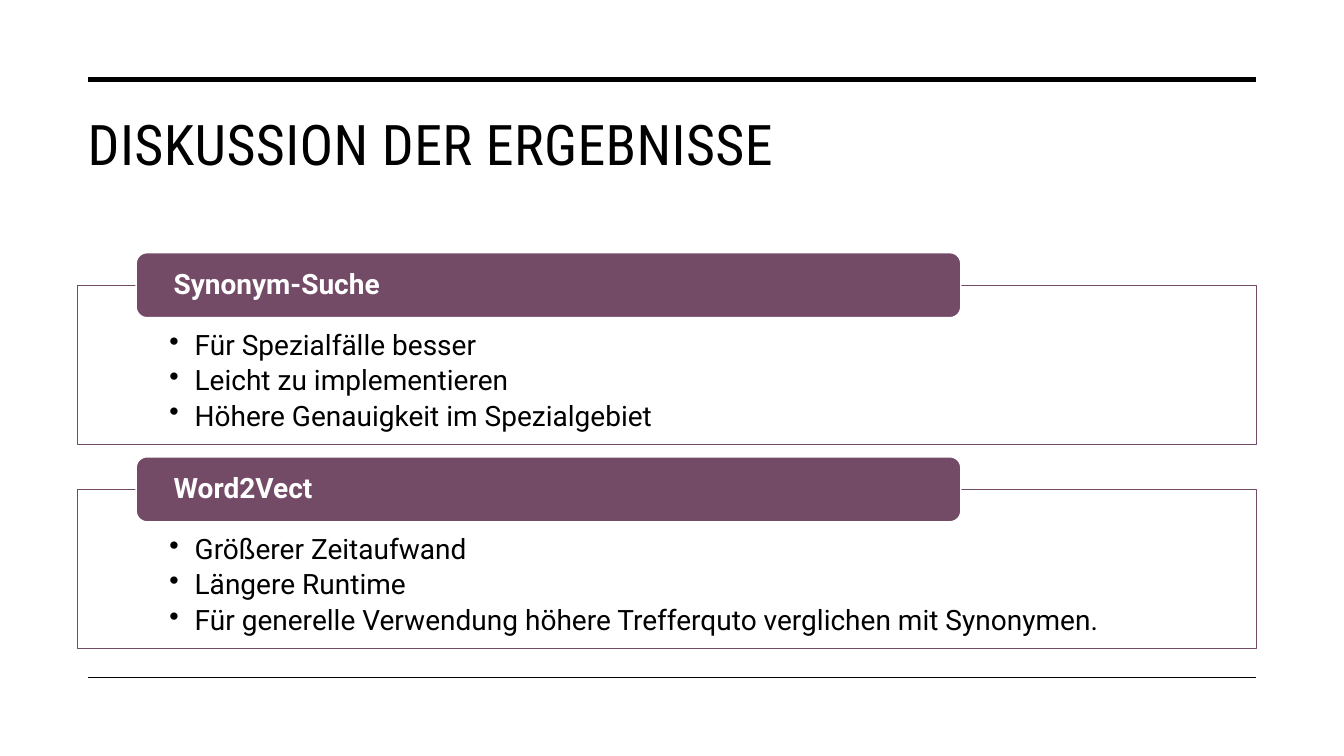
from lxml import etree
from pptx import Presentation, util as u
from pptx.dml.color import RGBColor
from pptx.enum import shapes, text
from pptx.oxml.ns import qn

theme = dict(
    ink=RGBColor(0, 0, 0), paper=RGBColor(255, 255, 255), plum=RGBColor(0x73, 0x4B, 0x67),
    head='Roboto Condensed', body='Roboto', title=u.Pt(40), copy=u.Pt(20),
)
cards = [
    ('Synonym-Suche', ['Für Spezialfälle besser', 'Leicht zu implementieren',
                       'Höhere Genauigkeit im Spezialgebiet']),
    ('Word2Vect', ['Größerer Zeitaufwand', 'Längere Runtime',
                   'Für generelle Verwendung höhere Trefferquto verglichen mit Synonymen.']),
]

prs = Presentation()
prs.slide_width, prs.slide_height = u.Inches(13.33), u.Inches(7.5)
s = prs.slides.add_slide(prs.slide_layouts[6])
col, row = prs.slide_width / 100, prs.slide_height / 100
left, width = 5.78, 87.7
card_top, card_h, card_step = 37.73, 21.07, 27
tab_left, tab_w, tab_h, tab_rise = 10.13, 61.36, 8.6, 4.3


def add_box(kind, x, y, w, h, fill, line):
    sp = s.shapes.add_shape(kind, int(x * col), int(y * row), int(w * col), int(h * row))
    sp.shadow.inherit = False
    sp.fill.solid()
    sp.fill.fore_color.rgb = theme[fill]
    sp.line.color.rgb = theme[line]
    sp.line.width = u.Pt(1)
    return sp


def set_text(sp, lines, margins, anchor, font, size, color, bold=False):
    tf = sp.text_frame
    tf.word_wrap = True
    tf.vertical_anchor = anchor
    side, top, bottom = margins
    tf.margin_left = tf.margin_right = int(side * col)
    tf.margin_top, tf.margin_bottom = int(top * row), int(bottom * row)
    tf.text = '\n'.join(lines)
    for p in tf.paragraphs:
        p.alignment = text.PP_ALIGN.LEFT
        p.font.name, p.font.size, p.font.bold = theme[font], theme[size], bold
        p.font.color.rgb = theme[color]
    return tf


title = s.shapes.add_textbox(int(left * col), int(13.2 * row), int(width * col), int(16.8 * row))
tf = set_text(title, ['DISKUSSION DER ERGEBNISSE'], (0.75, 1.33, 0.67),
              text.MSO_ANCHOR.TOP, 'head', 'title', 'ink')
tf.paragraphs[0].runs[0].font._element.set('spc', '30')

for y, weight in [(10.53, 3.5), (89.6, 1)]:
    rule = s.shapes.add_connector(shapes.MSO_CONNECTOR.STRAIGHT, int(6.58 * col), int(y * row),
                                  int((left + width) * col), int(y * row))
    rule.line.color.rgb = theme['ink']
    rule.line.width = u.Pt(weight)
    etree.SubElement(rule._element.spPr, qn('a:effectLst'))

for i, (name, points) in enumerate(cards):
    y = card_top + i * card_step
    card = add_box(shapes.MSO_SHAPE.RECTANGLE, left, y, width, card_h, 'paper', 'plum')
    clr = card._element.spPr.find(qn('a:solidFill'))[0]
    etree.SubElement(clr, qn('a:alpha')).set('val', '90000')
    tf = set_text(card, points, (6.83, 6.13, 2.13), text.MSO_ANCHOR.TOP, 'body', 'copy', 'ink')
    for p in tf.paragraphs:
        p.level = 1
        p.line_spacing, p.space_after = 0.9, u.Pt(3.5)
        pPr = p._p.get_or_add_pPr()
        pPr.set('marL', str(u.Inches(0.25)))
        pPr.set('indent', str(-u.Inches(0.25)))
        bullet = etree.Element(qn('a:buChar'), char='•')
        pPr.find(qn('a:defRPr')).addprevious(bullet)

    tab = add_box(shapes.MSO_SHAPE.ROUNDED_RECTANGLE, tab_left, y - tab_rise, tab_w, tab_h,
                  'plum', 'paper')
    tf = set_text(tab, [name], (2.55, 0, 0), text.MSO_ANCHOR.MIDDLE, 'body', 'copy', 'paper', True)
    tf.paragraphs[0].line_spacing = 0.9

prs.save("out.pptx")
